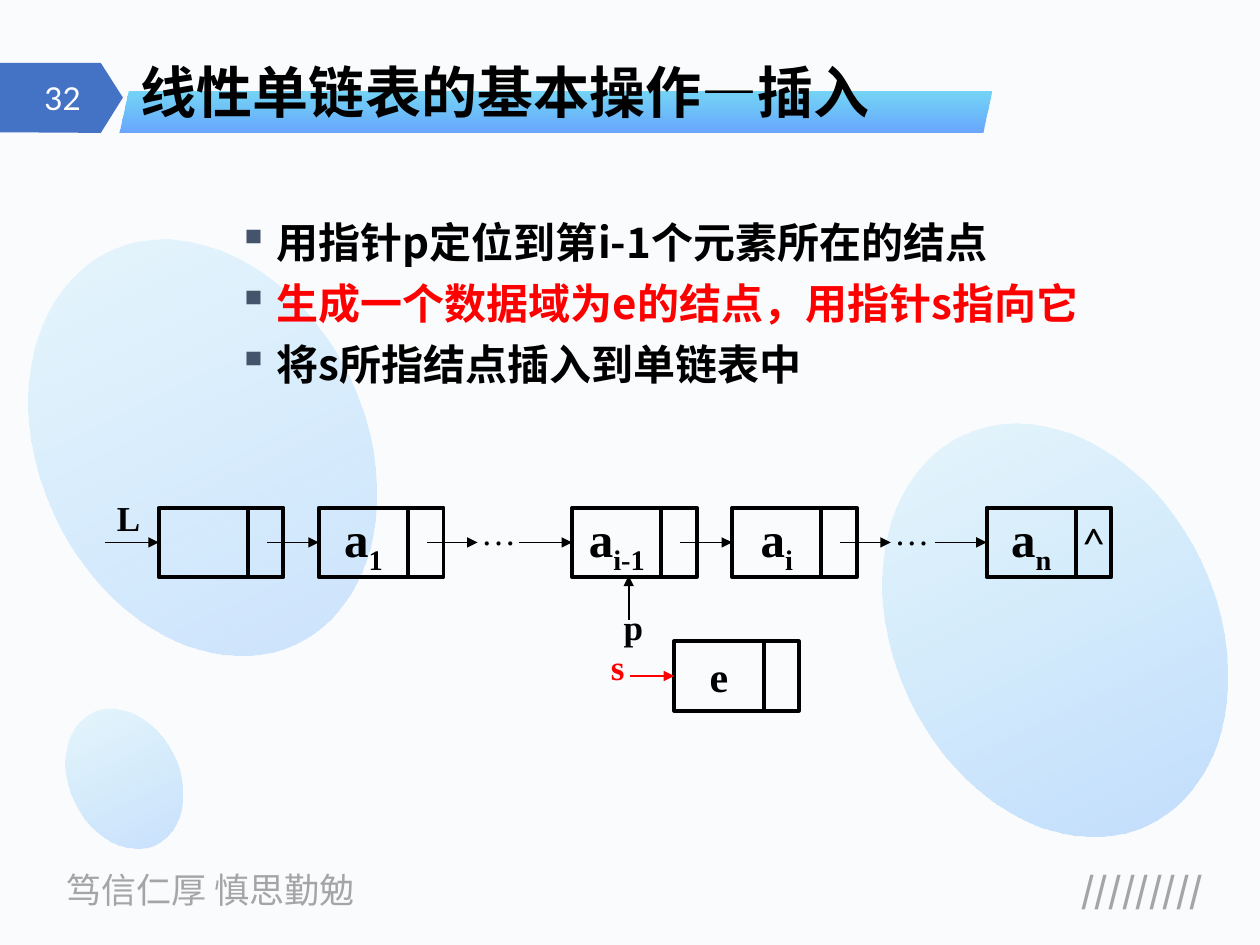
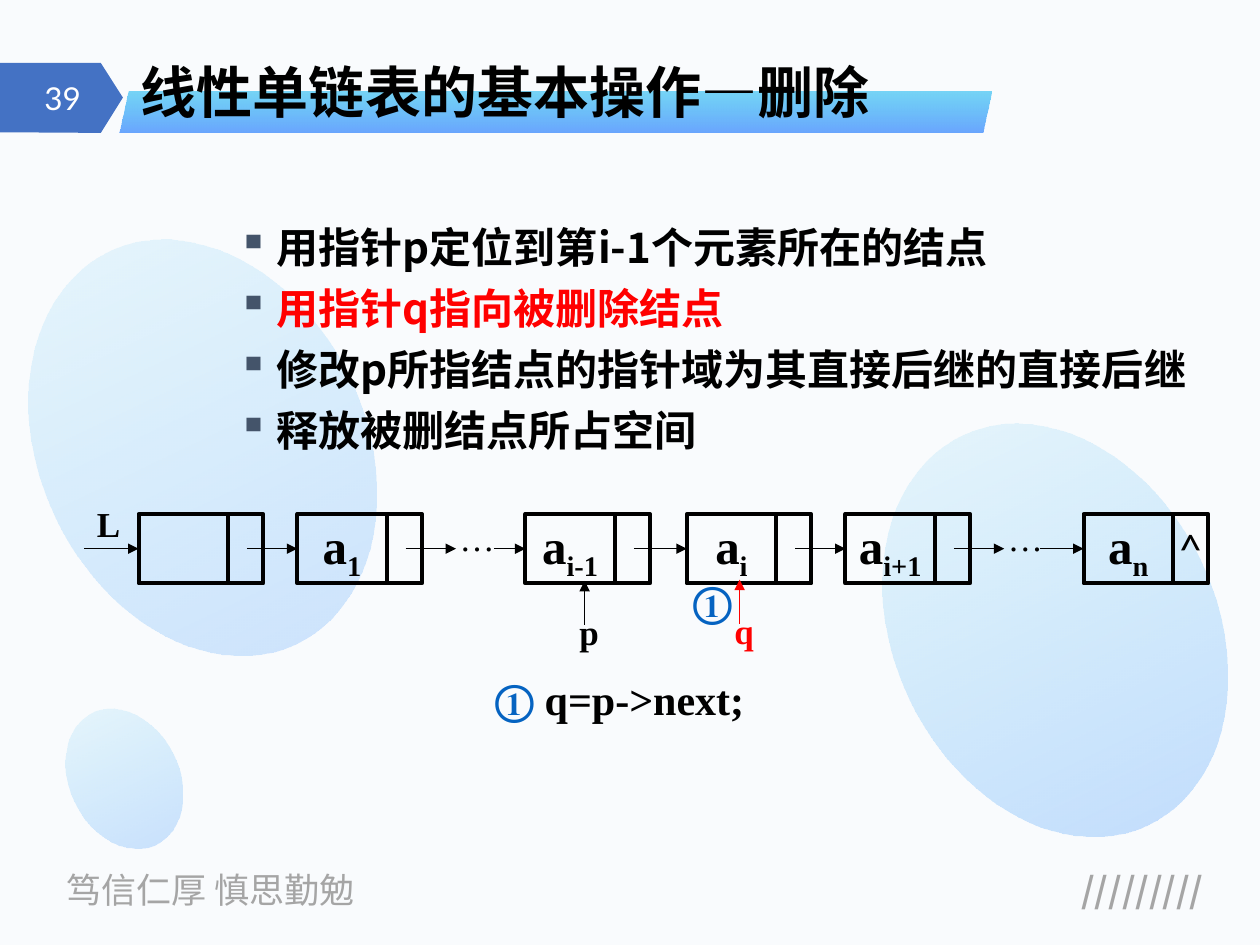
from lxml.etree import SubElement
from pptx import Presentation
from pptx.dml.color import RGBColor
from pptx.enum.shapes import MSO_CONNECTOR, MSO_SHAPE
from pptx.enum.text import MSO_ANCHOR, PP_ALIGN
from pptx.oxml.ns import qn
from pptx.util import Inches, Pt

# Grid: 100 columns by 75 rows of square cells
COLUMNS, ROWS = 100, 75
SANS, LATO, SERIF = "Noto Sans CJK SC", "Lato", "Times New Roman"
BLACK, WHITE, RED, LINK_BLUE = "000000", "FFFFFF", "FF0000", "0563C1"
PAPER, GREY, TAG_BLUE, SLATE = "F9FBFD", "A5A5A5", "4472C4", "44546A"
AZURE, CYAN = "3385FF", "00B0F0"

# Text formats
TITLE = dict(name=SANS, size=Pt(32), bold=True)
STEP = dict(name=SANS, size=Pt(24), bold=True)
MOTTO = dict(name=SANS, size=Pt(20))
SLASHES = dict(name=SANS, size=Pt(20), bold=True)
NUMBER = dict(name=LATO, size=Pt(18))
SYMBOL = dict(name=SERIF, size=Pt(28), bold=True)
CODE = dict(name=SERIF, size=Pt(24), bold=True)
POINTER = dict(name=SERIF, size=Pt(20), bold=True)
DOTS = dict(name=SERIF, size=Pt(20))
NULL = dict(name=LATO, size=Pt(24))

# List node: a data field followed by a link field
DATA_WIDTH, LINK_WIDTH, NODE_HEIGHT = 7.1, 2.8, 5.5
LINK_START, ARROW_LENGTH = 8.6, 4


def cell(count):
    return Inches(count / 10)


def box(*cells):
    return [cell(count) for count in cells]


def color(hex_string):
    return RGBColor.from_string(hex_string)


# Text
def add_run(paragraph, text, style, ink=BLACK, baseline=0):
    run = paragraph.add_run()
    run.text = text
    for attribute, value in style.items():
        setattr(run.font, attribute, value)
    run.font.color.rgb = color(ink)
    properties = run._r.get_or_add_rPr()
    SubElement(properties, qn("a:ea"), typeface=style["name"])
    if baseline:
        properties.set("baseline", str(baseline))


def add_label(slide, area, text, style, ink=BLACK, align=PP_ALIGN.LEFT,
              anchor=MSO_ANCHOR.TOP, wrap=True):
    label = slide.shapes.add_textbox(*box(*area))
    frame = label.text_frame
    frame.word_wrap = wrap
    frame.vertical_anchor = anchor
    paragraph = frame.paragraphs[0]
    paragraph.alignment = align
    add_run(paragraph, text, style, ink)
    return paragraph


def add_steps(slide, top, steps, current):
    frame = slide.shapes.add_textbox(*box(12.9, top, 85, 45)).text_frame
    frame.word_wrap = True
    for index, step in enumerate(steps):
        paragraph = frame.add_paragraph() if index else frame.paragraphs[0]
        if index:
            paragraph.space_before = Pt(6)
        properties = paragraph._p.get_or_add_pPr()
        properties.set("marL", str(cell(8.1)))
        properties.set("indent", str(cell(-3.1)))
        bullet_color = SubElement(properties, qn("a:buClr"))
        SubElement(bullet_color, qn("a:srgbClr"), val=SLATE)
        SubElement(properties, qn("a:buChar"), char="▪")
        add_run(paragraph, step, STEP, RED if index == current else BLACK)


# Shapes
def add_gradient_shape(slide, kind, area, stops):
    shape = slide.shapes.add_shape(kind, *box(*area))
    shape.shadow.inherit = False
    shape.line.fill.background()
    shape.fill.gradient()
    shape.fill.gradient_angle = 270
    for stop, position, (ink, _) in zip(shape.fill.gradient_stops, (0, 1), stops):
        stop.position = position
        stop.color.rgb = color(ink)
    inks = shape._element.spPr.iter(qn("a:srgbClr"))
    for ink, (_, opacity) in zip(list(inks), stops):
        SubElement(ink, qn("a:alpha"), val=str(opacity * 1000))
    return shape


def add_field(slide, left, top, width):
    field = slide.shapes.add_shape(MSO_SHAPE.RECTANGLE,
                                   *box(left, top, width, NODE_HEIGHT))
    field.shadow.inherit = False
    field.fill.background()
    field.line.color.rgb = color(BLACK)
    field.line.width = Pt(2.25)
    field.text_frame.word_wrap = False
    field.text_frame.vertical_anchor = MSO_ANCHOR.MIDDLE
    field.text_frame.paragraphs[0].alignment = PP_ALIGN.CENTER
    return field


def add_arrow(slide, start, end, ink=BLACK, weight=0.75, target=None):
    arrow = slide.shapes.add_connector(MSO_CONNECTOR.STRAIGHT,
                                       *box(*start), *box(*end))
    if target is not None:
        arrow.end_connect(target, 1)
    arrow.line.color.rgb = color(ink)
    arrow.line.width = Pt(weight)
    SubElement(arrow.line._get_or_add_ln(), qn("a:tailEnd"), type="triangle")
    SubElement(arrow._element.spPr, qn("a:effectLst"))


# Linked list
def add_node(slide, left, top, symbol="", subscript="", style=SYMBOL, last=False):
    data = add_field(slide, left, top, DATA_WIDTH)
    link = add_field(slide, left + DATA_WIDTH, top, LINK_WIDTH)
    if symbol:
        add_run(data.text_frame.paragraphs[0], symbol, style)
    if subscript:
        add_run(data.text_frame.paragraphs[0], subscript, style, baseline=-25000)
    if last:
        add_run(link.text_frame.paragraphs[0], "^", NULL)
    return data


def add_linked_list(slide, top, nodes):
    """Each node is (left, subscript, length of the arrow after an ellipsis)."""
    middle = top + NODE_HEIGHT / 2
    head_left = nodes[0][0]
    start = head_left - 4.3
    add_label(slide, (start, top - 1.4, 3.9, 4.3), "L", POINTER, wrap=False)
    for index, (left, subscript, resume) in enumerate(nodes):
        data = add_node(slide, left, top, "a" if subscript else "", subscript,
                        last=index == len(nodes) - 1)
        if resume:
            stop = start + ARROW_LENGTH
            add_arrow(slide, (start, middle), (stop, middle))
            add_label(slide, (stop - 0.7, top - 0.3, 7.5, 4.3), "…", DOTS)
            start = left - resume
        add_arrow(slide, (start, middle), (left, middle), target=data)
        start = left + LINK_START


def add_pointer(slide, name, x, top, ink=BLACK):
    add_arrow(slide, (x, top + 3.5), (x, top), ink, 1)
    add_label(slide, (x - 1.4, top + 1.9, 4.2, 4.3), name, POINTER, ink)


# Shared page design
def add_page(deck, number, title):
    slide = deck.slides.add_slide(deck.slide_layouts[6])
    slide.background.fill.solid()
    slide.background.fill.fore_color.rgb = color(PAPER)
    add_label(slide, (4.3, 68.4, 27, 4.4), "笃信仁厚 慎思勤勉", MOTTO, GREY)
    add_label(slide, (76.7, 68.4, 19.8, 4.4), "/////////", SLASHES, GREY,
              PP_ALIGN.RIGHT)

    bubbles = [((5.5, 56, 8.7, 11.6), 24), ((70.9, 32.9, 25.6, 34.2), 27),
               ((3.2, 18.3, 25.8, 34.4), 22)]
    for area, opacity in bubbles:
        bubble = add_gradient_shape(slide, MSO_SHAPE.OVAL, area,
                                    [(AZURE, opacity), (CYAN, 8)])
        bubble.rotation = 154.4

    corners = [box(*corner) for corner in
               ((8, 5), (9.75, 7.75), (8, 10.55), (0, 10.5))]
    outline = slide.shapes.build_freeform(*box(0, 5))
    outline.add_line_segments(corners, close=True)
    number_tag = outline.convert_to_shape()
    number_tag.shadow.inherit = False
    number_tag.fill.solid()
    number_tag.fill.fore_color.rgb = color(TAG_BLUE)
    number_tag.line.fill.background()
    add_label(slide, (1, 5.8, 6.4, 4), number, NUMBER, WHITE,
              PP_ALIGN.RIGHT, MSO_ANCHOR.MIDDLE)

    band = add_gradient_shape(slide, MSO_SHAPE.PARALLELOGRAM,
                              (9.5, 7.3, 69.2, 3.2), [(CYAN, 52), (AZURE, 73)])
    band.adjustments[0] = 0.23
    heading = add_label(slide, (10.2, 4, 68.5, 6.5), title, TITLE,
                        anchor=MSO_ANCHOR.BOTTOM)
    heading.line_spacing = 0.9
    return slide


def add_insertion(deck):
    slide = add_page(deck, "32", "线性单链表的基本操作—插入")
    add_steps(slide, 16.7, ["用指针p定位到第i-1个元素所在的结点",
                            "生成一个数据域为e的结点，用指针s指向它",
                            "将s所指结点插入到单链表中"], current=1)
    add_linked_list(slide, 40.3, [(12.6, "", 0), (25.3, "1", 0), (45.4, "i-1", 4.2),
                                  (58.1, "i", 0), (78.3, "n", 4.1)])
    add_pointer(slide, "p", 49.9, 45.7)
    # New node e, held by s
    new_node = add_node(slide, 53.5, 50.9, "e", style=CODE)
    add_arrow(slide, (50, 53.65), (53.5, 53.65), RED, target=new_node)
    add_label(slide, (47.5, 50.7, 4.2, 4.3), "s", POINTER, RED)


def add_deletion(deck):
    slide = add_page(deck, "39", "线性单链表的基本操作—删除")
    add_steps(slide, 17.1, ["用指针p定位到第i-1个元素所在的结点",
                            "用指针q指向被删除结点",
                            "修改p所指结点的指针域为其直接后继的直接后继",
                            "释放被删结点所占空间"], current=1)
    add_linked_list(slide, 40.8, [(11, "", 0), (23.6, "1", 0), (41.7, "i-1", 2.5),
                                  (54.5, "i", 0), (67.1, "i+1", 0), (86, "n", 3.5)])
    add_pointer(slide, "p", 46.4, 46.1)
    add_pointer(slide, "q", 58.7, 46, RED)
    # Statement and its mark in the diagram
    statement = add_label(slide, (38.3, 53, 45.8, 5), "① ", CODE, LINK_BLUE)
    add_run(statement, "q=p->next;", CODE)
    add_label(slide, (54, 45.2, 5.4, 5), "①", CODE, LINK_BLUE, wrap=False)


def main():
    deck = Presentation()
    deck.slide_width, deck.slide_height = box(COLUMNS, ROWS)
    add_insertion(deck)
    add_deletion(deck)
    deck.save("out.pptx")


if __name__ == "__main__":
    main()
